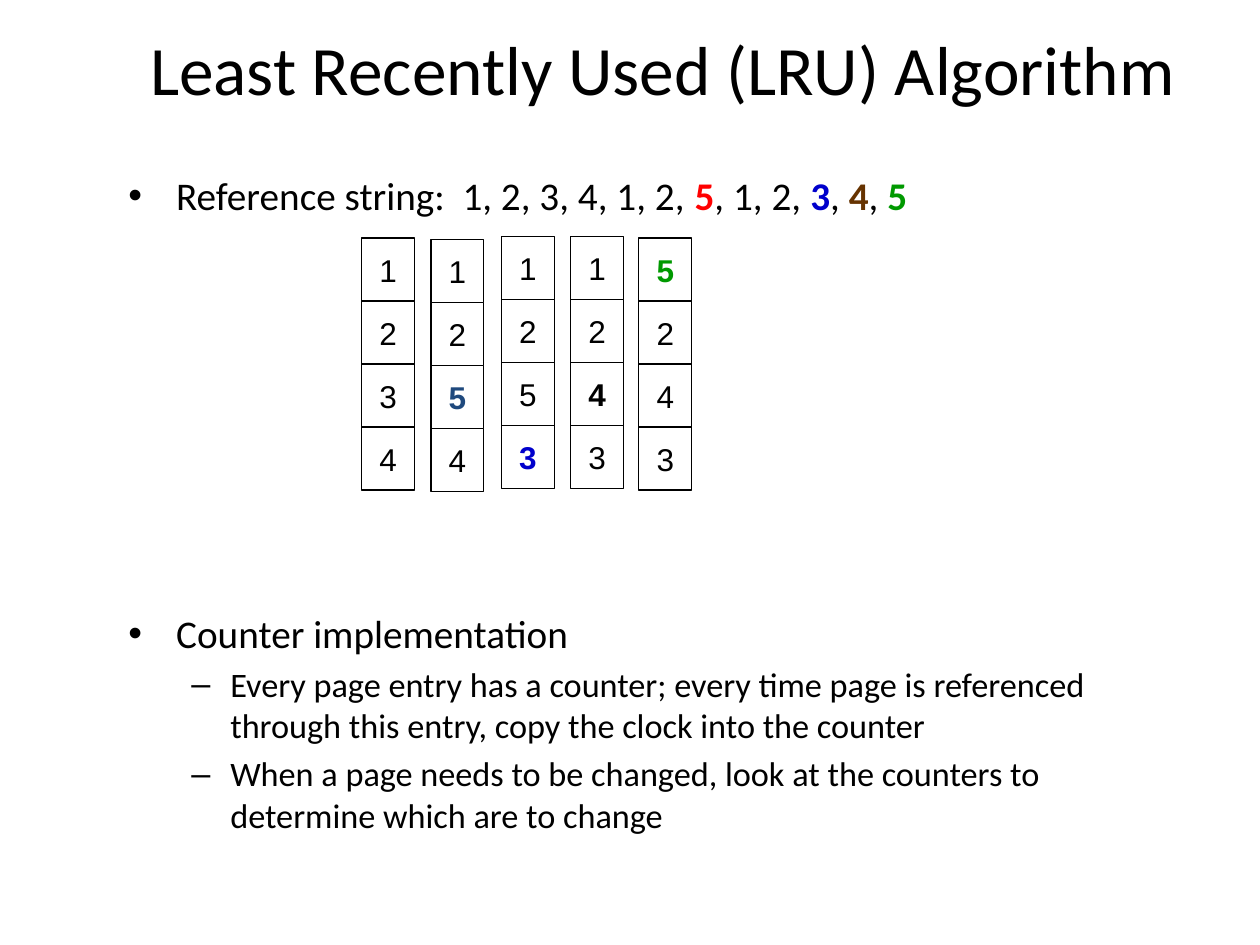
from lxml import etree
from pptx import Presentation
from pptx.dml.color import RGBColor
from pptx.enum.shapes import MSO_SHAPE
from pptx.enum.text import MSO_ANCHOR, PP_ALIGN
from pptx.oxml.ns import qn
from pptx.util import Inches, Pt

RECT = MSO_SHAPE.RECTANGLE
MIDDLE, TOP = MSO_ANCHOR.MIDDLE, MSO_ANCHOR.TOP
CENTER, LEFT = PP_ALIGN.CENTER, PP_ALIGN.LEFT

BLACK = RGBColor(0x00, 0x00, 0x00)
WHITE = RGBColor(0xFF, 0xFF, 0xFF)
RED = RGBColor(0xFF, 0x00, 0x00)
BLUE = RGBColor(0x00, 0x00, 0xCC)
BROWN = RGBColor(0x66, 0x33, 0x00)
GREEN = RGBColor(0x00, 0x99, 0x00)
NAVY = RGBColor(0x1F, 0x49, 0x7D)


class Page:
    font = "Calibri"
    cell_font = "Arial"

    def __init__(self, slide):
        self.slide = slide

    def add_runs(self, para, runs, size, name, align=LEFT):
        """Each run is a plain string, or a (string, colour) pair set in bold."""
        para.alignment = align
        for item in runs:
            bold = isinstance(item, tuple)
            text, color = item if bold else (item, BLACK)
            run = para.add_run()
            run.text = text
            for key, value in {"name": name, "size": Pt(size), "bold": bold}.items():
                setattr(run.font, key, value)
            run.font.color.rgb = color

    def box(self, left, top, width, height, anchor=TOP):
        shape = self.slide.shapes.add_textbox(
            Inches(left), Inches(top), Inches(width), Inches(height))
        frame = shape.text_frame
        frame.word_wrap = True
        frame.vertical_anchor = anchor
        return frame

    def title(self, text, *place):
        frame = self.box(*place, anchor=MIDDLE)
        self.add_runs(frame.paragraphs[0], [text], 39.6, self.font, CENTER)

    def bullets(self, items, *place):
        frame = self.box(*place)
        for i, (runs, size, mark, indent, hang, gap) in enumerate(items):
            para = frame.add_paragraph() if i else frame.paragraphs[0]
            para.space_before = Pt(gap)
            self.add_runs(para, runs, size, self.font)
            props = para._p.get_or_add_pPr()
            props.set("marL", str(Inches(indent)))
            props.set("indent", str(-Inches(hang)))
            face = etree.SubElement(props, qn("a:buFont"))
            face.set("typeface", "Arial")
            etree.SubElement(props, qn("a:buChar")).set("char", mark)

    def cell(self, item, left, top, width, height):
        shape = self.slide.shapes.add_shape(
            RECT, Inches(left), Inches(top), Inches(width), Inches(height))
        shape.shadow.inherit = False
        shape.fill.solid()
        shape.fill.fore_color.rgb = WHITE
        shape.line.color.rgb = BLACK
        shape.line.width = Pt(0.75)
        frame = shape.text_frame
        frame.word_wrap = False
        frame.vertical_anchor = MIDDLE
        self.add_runs(frame.paragraphs[0], [item], 18, self.cell_font, CENTER)

    def stack(self, items, left, top, width=0.42, height=0.5):
        for row, item in enumerate(items):
            self.cell(item, left, top + row * height, width, height)


deck = Presentation()
deck.slide_width, deck.slide_height = Inches(10), Inches(7.5)
page = Page(deck.slides.add_slide(deck.slide_layouts[6]))

# Title
page.title("Least Recently Used (LRU) Algorithm", 1.02, 0.22, 8.48, 0.63)

# Bullets, with a wide gap that leaves room for the frames
main = ("\u2022", 0.38, 0.38)
sub = ("\u2013", 0.81, 0.31)
refs = ["Reference string:  1, 2, 3, 4, 1, 2, ", ("5", RED), ", 1, 2, ",
        ("3", BLUE), ", ", ("4", BROWN), ", ", ("5", GREEN)]
notes = ["Every page entry has a counter; every time page is referenced "
         "through this entry, copy the clock into the counter",
         "When a page needs to be changed, look at the counters to "
         "determine which are to change"]
page.bullets(
    [(refs, 22.4, *main, 0), (["Counter implementation"], 22.4, *main, 223.5)]
    + [([note], 19.6, *sub, 4) for note in notes],
    0.92, 1.31, 8.04, 4.9)

# Memory frames after each page fault
stacks = [
    (2.87, 1.89, ["1", "2", "3", "4"]),
    (3.42, 1.90, ["1", "2", ("5", NAVY), "4"]),
    (3.98, 1.88, ["1", "2", "5", ("3", BLUE)]),
    (4.53, 1.88, ["1", "2", ("4", BLACK), "3"]),
    (5.07, 1.89, [("5", GREEN), "2", "4", "3"]),
]
for left, top, items in stacks:
    page.stack(items, left, top)

deck.save("out.pptx")
